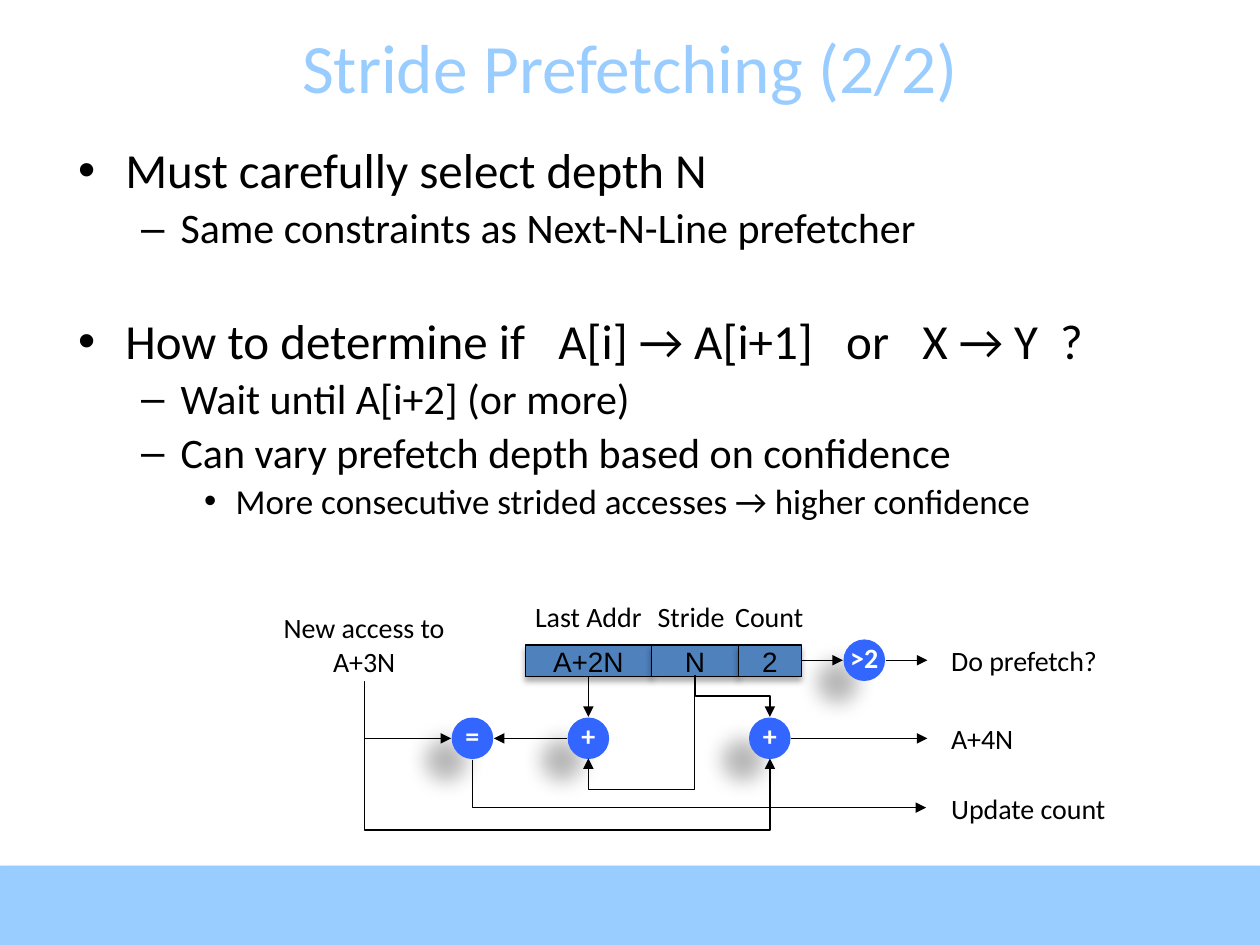
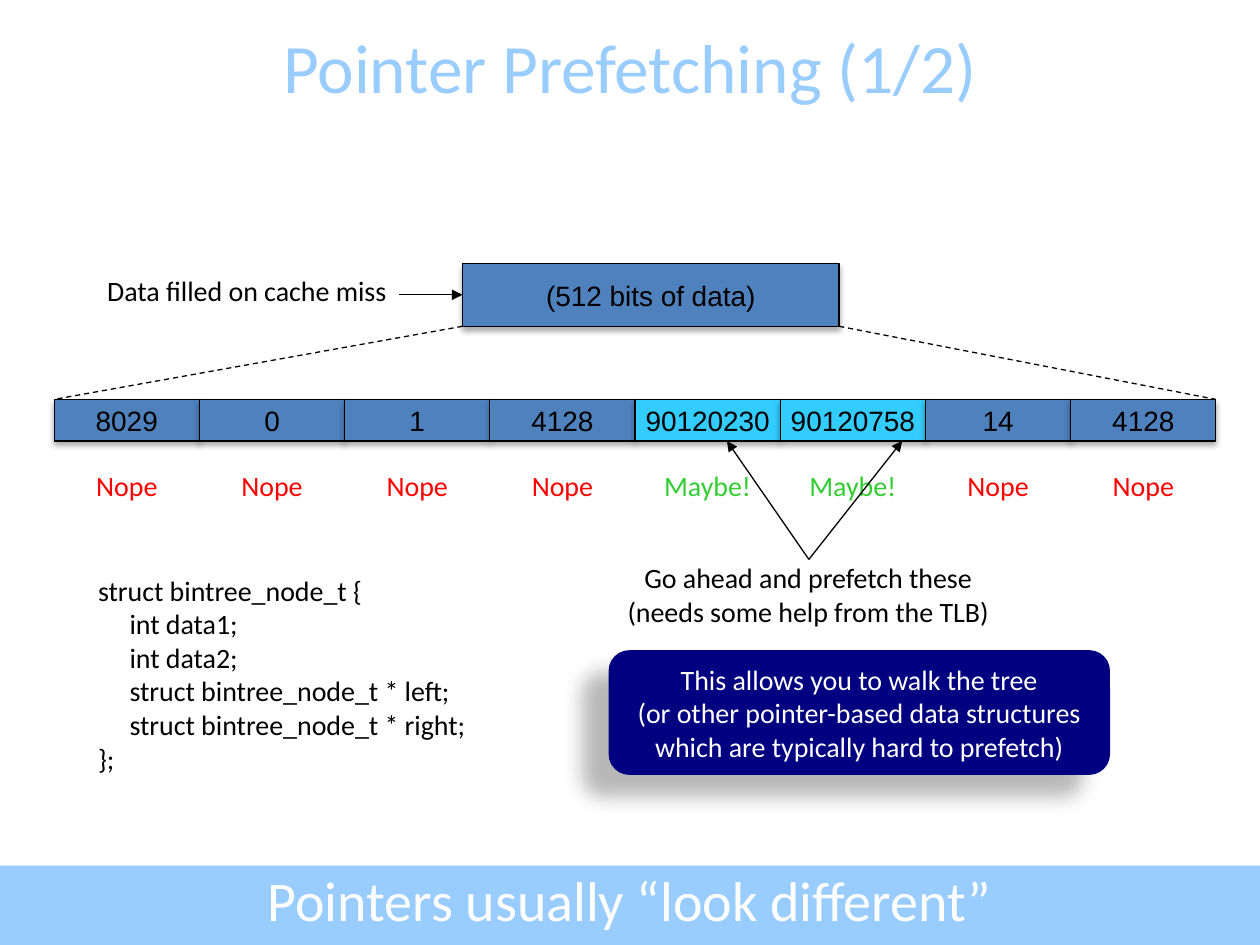
from collections import namedtuple

from lxml import etree
from pptx import Presentation
from pptx.dml.color import RGBColor
from pptx.enum.dml import MSO_LINE
from pptx.enum.shapes import MSO_CONNECTOR, MSO_SHAPE, PP_PLACEHOLDER
from pptx.enum.text import MSO_ANCHOR, MSO_AUTO_SIZE, PP_ALIGN
from pptx.oxml.ns import qn
from pptx.util import Inches, Pt

RECTANGLE, ROUNDED, OVAL = MSO_SHAPE.RECTANGLE, MSO_SHAPE.ROUNDED_RECTANGLE, MSO_SHAPE.OVAL
STRAIGHT, ELBOW = MSO_CONNECTOR.STRAIGHT, MSO_CONNECTOR.ELBOW
LEFT, CENTER = PP_ALIGN.LEFT, PP_ALIGN.CENTER
MIDDLE = MSO_ANCHOR.MIDDLE
GROW, FIXED = MSO_AUTO_SIZE.SHAPE_TO_FIT_TEXT, MSO_AUTO_SIZE.NONE
DASH = MSO_LINE.DASH
TITLE_TYPE, BODY_TYPE = PP_PLACEHOLDER.TITLE, PP_PLACEHOLDER.BODY

BLACK = RGBColor(0x00, 0x00, 0x00)
WHITE = RGBColor(0xFF, 0xFF, 0xFF)
SKY = RGBColor(0x99, 0xCC, 0xFF)
STEEL = RGBColor(0x4F, 0x81, 0xBD)
CYAN = RGBColor(0x33, 0xCC, 0xFF)
BLUE = RGBColor(0x33, 0x66, 0xFF)
NAVY = RGBColor(0x00, 0x00, 0x80)
RED = RGBColor(0xFF, 0x00, 0x00)
GREEN = RGBColor(0x33, 0xCC, 0x33)

# Shadow: opacity in percent, blur and distance in points, direction in degrees
BAND_SHADOW = (35, 3.1, 1.8, 90)
CELL_SHADOW = (32, 3.5, 2.2, 90)
FAR_SHADOW = (28, 11.8, 19.7, 141)

Box = namedtuple("Box", "left top width height")
TITLE_BOX = Box(0, 0.21, 10, 0.63)
BODY_BOX = Box(0.52, 1.11, 9, 5.56)
BAND_BOX = Box(0, 6.87, 10, 0.63)
LABEL_HEIGHT = 0.37


# Shared helpers
def inside(region, left, top, width, height):
    """Box whose offset is measured from the region's corner."""
    return Box(region.left + left, region.top + top, width, height)


def inches(box):
    return [Inches(value) for value in box]


def style(paragraph, size, color, font="Calibri", bold=False):
    for run in paragraph.runs:
        run.font.name = font
        run.font.size = Pt(size)
        run.font.bold = bold
        run.font.color.rgb = color


def write(shape, text, color=BLACK, size=16, font="Calibri", bold=False, align=CENTER):
    shape.text_frame.text = text
    for paragraph in shape.text_frame.paragraphs:
        paragraph.alignment = align
        style(paragraph, size, color, font, bold)


def clear_side_margins(shape):
    shape.text_frame.margin_left = shape.text_frame.margin_right = 0


def add_label(page, box, text, color=BLACK, align=CENTER, wrap=False, size=16):
    label = page.shapes.add_textbox(*inches(box))
    label.text_frame.word_wrap = wrap
    label.text_frame.auto_size = GROW
    write(label, text, color, size, align=align)
    return label


def add_block(page, kind, box, fill, shadow, outlined=False):
    block = page.shapes.add_shape(kind, *inches(box))
    block.fill.solid()
    block.fill.fore_color.rgb = fill
    if outlined:
        block.line.color.rgb = BLACK
        block.line.width = Pt(0.75)
    else:
        block.line.fill.background()
    block.shadow.inherit = False
    opacity, blur, distance, direction = shadow
    effects = block.element.spPr.find(qn("a:effectLst"))
    outer = etree.SubElement(effects, qn("a:outerShdw"), blurRad=str(Pt(blur)),
                             dist=str(Pt(distance)), dir=str(direction * 60000),
                             rotWithShape="0")
    color = etree.SubElement(outer, qn("a:srgbClr"), val="000000")
    etree.SubElement(color, qn("a:alpha"), val=str(opacity * 1000))
    block.text_frame.word_wrap = False
    block.text_frame.vertical_anchor = MIDDLE
    return block


def add_cell(page, box, text, fill=STEEL):
    cell = add_block(page, RECTANGLE, box, fill, CELL_SHADOW, outlined=True)
    clear_side_margins(cell)
    write(cell, text, font="Arial")


def add_line(page, region, start, end, kind=STRAIGHT, arrow=True):
    points = [region.left + start[0], region.top + start[1],
              region.left + end[0], region.top + end[1]]
    line = page.shapes.add_connector(kind, *inches(points))
    line.line.color.rgb = BLACK
    line.line.width = Pt(0.75)
    if arrow:
        etree.SubElement(line.line._get_or_add_ln(), qn("a:tailEnd"), type="triangle")
    else:
        line.line.dash_style = DASH
    etree.SubElement(line.element.spPr, qn("a:effectLst"))
    return line


def add_elbow(page, region, box, preset, adjustments=(), rotation=0, flip=False):
    """Bent arrow; adjustments are percentages of its frame."""
    end = (box.left + box.width, box.top + box.height)
    elbow = add_line(page, region, (box.left, box.top), end, ELBOW)
    frame = elbow.element.spPr.find(qn("a:xfrm"))
    frame.set("rot", str(rotation * 60000))
    if flip:
        frame.set("flipH", "1")
    geometry = elbow.element.spPr.find(qn("a:prstGeom"))
    geometry.set("prst", preset)
    guides = geometry.find(qn("a:avLst"))
    for number, percent in enumerate(adjustments, 1):
        etree.SubElement(guides, qn("a:gd"), name=f"adj{number}",
                         fmla=f"val {round(percent * 1000)}")


def place(shape, box):
    shape.left, shape.top, shape.width, shape.height = inches(box)


def set_up_master(deck, page):
    """Give the master the title and body positions and the bottom band."""
    master = deck.slide_master
    for holder in master.placeholders:
        if holder.placeholder_format.type == TITLE_TYPE:
            place(holder, TITLE_BOX)
        elif holder.placeholder_format.type == BODY_TYPE:
            place(holder, BODY_BOX)
    band = add_block(page, RECTANGLE, BAND_BOX, SKY, BAND_SHADOW)
    master.shapes.element.insert(2, band.element)


def add_page(deck, layout_name, title):
    page = deck.slides.add_slide(deck.slide_layouts.get_by_name(layout_name))
    write(page.shapes.title, title, SKY, 39.6)
    page.shapes.title.text_frame.auto_size = FIXED
    page.shapes.title.text_frame.vertical_anchor = MIDDLE
    return page


# Stride page
def add_stride_points(page):
    sizes = (28, 24, 20)
    # Each point: level, phrases, and the extra width in points after each phrase
    points = [
        (0, ["Must carefully select depth N"], []),
        (1, ["Same constraints as Next-N-Line prefetcher"], []),
        (0, ["How to determine if", "A[i] → A[i+1]", "or", "X → Y", "?"],
         [12.7, 12.7, 12.7, 6.3]),
        (1, ["Wait until A[i+2] (or more)"], []),
        (1, ["Can vary prefetch depth based on confidence"], []),
        (2, ["More consecutive strided accesses → higher confidence"], []),
    ]
    frame = page.placeholders[1].text_frame
    frame.auto_size = FIXED
    for index, (level, phrases, gaps) in enumerate(points):
        paragraph = frame.paragraphs[0] if index == 0 else frame.add_paragraph()
        paragraph.level = level
        paragraph.line_spacing = 0.9
        if index and level == 0:
            paragraph.space_before = Pt(36.5)
        for number, phrase in enumerate(phrases):
            paragraph.add_run().text = phrase
            if number < len(gaps):
                space = paragraph.add_run()
                space.text = " "
                space.font._element.set("spc", str(round(gaps[number] * 100)))
        style(paragraph, sizes[level], BLACK)


def add_operator(page, region, center, symbol):
    size = 0.33
    box = inside(region, center[0] - size / 2, center[1] - size / 2, size, size)
    circle = add_block(page, OVAL, box, BLUE, FAR_SHADOW)
    circle.text_frame.margin_top = 0
    write(circle, symbol, WHITE, bold=True)


def add_stride_diagram(page, region):
    # Table entry with its headings
    add_label(page, inside(region, 0.09, 0.1, 1.6, 0.64), "New access to\nA+3N", wrap=True)
    entry_top, entry_height = 0.42, 0.25
    fields = [("A+2N", 2.17, 1), ("N", 3.17, 0.69), ("2", 3.86, 0.5)]
    for text, left, width in fields:
        add_cell(page, inside(region, left, entry_top, width, entry_height), text)
    headings = [("Last Addr", 2.17, 1), ("Stride", 3.09, 0.79), ("Count", 3.69, 0.83)]
    for text, left, width in headings:
        heading = add_label(page, inside(region, left, 0.01, width, LABEL_HEIGHT), text,
                            wrap=True)
        clear_side_margins(heading)

    # Operators
    radius, row, entry_row = 0.17, 1.16, 0.54
    equal_x, last_x, next_x, test_x = 1.75, 2.67, 4.11, 4.86
    for x, y, symbol in [(equal_x, row, "="), (last_x, row, "+"),
                         (next_x, row, "+"), (test_x, entry_row, ">2")]:
        add_operator(page, region, (x, y), symbol)

    # Straight arrows
    access_x, output_x, entry_bottom = 0.89, 5.36, entry_top + entry_height
    for start, end in [
        ((access_x, row), (equal_x - radius, row)),
        ((last_x - radius, row), (equal_x + radius, row)),
        ((last_x, entry_bottom), (last_x, row - radius)),
        ((next_x + radius, row), (output_x, row)),
        ((4.36, entry_row), (test_x - radius, entry_row)),
        ((test_x + radius, entry_row), (output_x, entry_row)),
    ]:
        add_line(page, region, start, end)

    # Bent arrows: stride to both adders, new access to adder, comparison to output
    add_elbow(page, region, Box(3.65, 0.53, 0.33, 0.59), "bentConnector3", [50], 270, True)
    add_elbow(page, region, Box(2.76, 0.57, 0.66, 0.84), "bentConnector3", [137.7], 90)
    add_elbow(page, region, Box(0.89, 0.71, 3.22, 0.61), "bentConnector4", [0.1, 193.2])
    add_elbow(page, region, Box(3.36, -0.28, 0.38, 3.6), "bentConnector2", [], 270, True)

    # Outputs
    for text, top, width in [("Do prefetch?", 0.36, 1.38), ("A+4N", 0.98, 0.77),
                             ("Update count", 1.53, 1.45)]:
        add_label(page, inside(region, 5.45, top, width, LABEL_HEIGHT), text, align=LEFT)


# Pointer page
def add_cache_line(page, region):
    words = ["8029", "0", "1", "4128", "90120230", "90120758", "14", "4128"]
    pointers = {"90120230", "90120758"}
    line_left, line_right, line_bottom, words_top = 3.24, 6.23, 0.5, 1.08
    add_label(page, inside(region, 0.3, 0.03, 2.46, LABEL_HEIGHT), "Data filled on cache miss")
    add_cell(page, inside(region, line_left, 0, line_right - line_left, line_bottom),
             "(512 bits of data)")
    add_line(page, region, (2.74, 0.25), (line_left, 0.25))
    add_line(page, region, (line_left, line_bottom), (0, words_top), arrow=False)
    add_line(page, region, (line_right, line_bottom), (region.width, words_top), arrow=False)

    # Words and their verdicts
    width = region.width / len(words)
    for index, word in enumerate(words):
        left = index * width
        found = word in pointers
        add_cell(page, inside(region, left, words_top, width, 0.33), word,
                 CYAN if found else STEEL)
        add_label(page, inside(region, left, 1.58, width, LABEL_HEIGHT),
                  "Maybe!" if found else "Nope", GREEN if found else RED, wrap=True)

    # Advice pointing at both candidates
    for tip in (5.34, 6.73):
        add_line(page, region, (5.99, 2.35), (tip, 1.41))
    add_label(page, inside(region, 4.42, 2.31, 3.13, 0.64),
              "Go ahead and prefetch these\n(needs some help from the TLB)")


def add_struct_code(page, box):
    lines = ["struct bintree_node_t {", "int data1;", "int data2;",
             "struct bintree_node_t * left;", "struct bintree_node_t * right;", "};"]
    code = add_label(page, box, "\n".join(lines), align=LEFT)
    for member in code.text_frame.paragraphs[1:-1]:
        member._p.get_or_add_pPr().set("marL", str(Inches(0.25)))


def add_callout(page, box):
    callout = add_block(page, ROUNDED, box, NAVY, FAR_SHADOW)
    write(callout, "This allows you to walk the tree\n"
          "(or other pointer-based data structures\n"
          "which are typically hard to prefetch)", WHITE)


def main():
    deck = Presentation()
    deck.slide_width, deck.slide_height = Inches(10), Inches(7.5)

    stride = add_page(deck, "Title and Content", "Stride Prefetching (2/2)")
    set_up_master(deck, stride)
    add_stride_points(stride)
    add_stride_diagram(stride, Box(2, 4.7, 7, 2))

    pointer = add_page(deck, "Title Only", "Pointer Prefetching (1/2)")
    add_cache_line(pointer, Box(0.43, 2.09, 9.22, 2.95))
    add_struct_code(pointer, Box(0.68, 4.5, 3.24, 1.72))
    add_callout(pointer, Box(4.83, 5.16, 3.98, 0.99))
    add_label(pointer, Box(0, 6.82, 10, 0.63), "Pointers usually “look different”",
              WHITE, wrap=True, size=32)

    deck.save("out.pptx")


if __name__ == "__main__":
    main()
